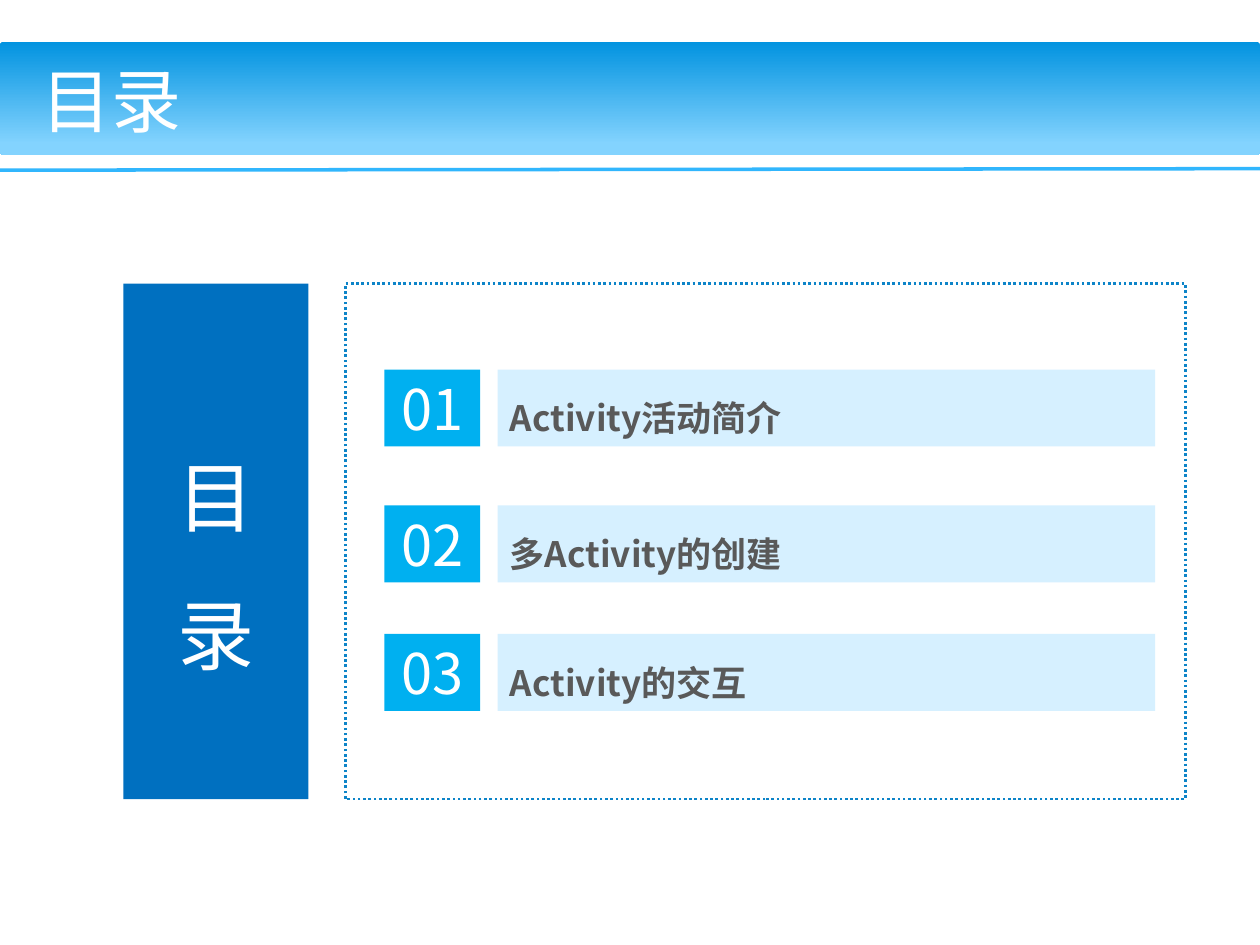
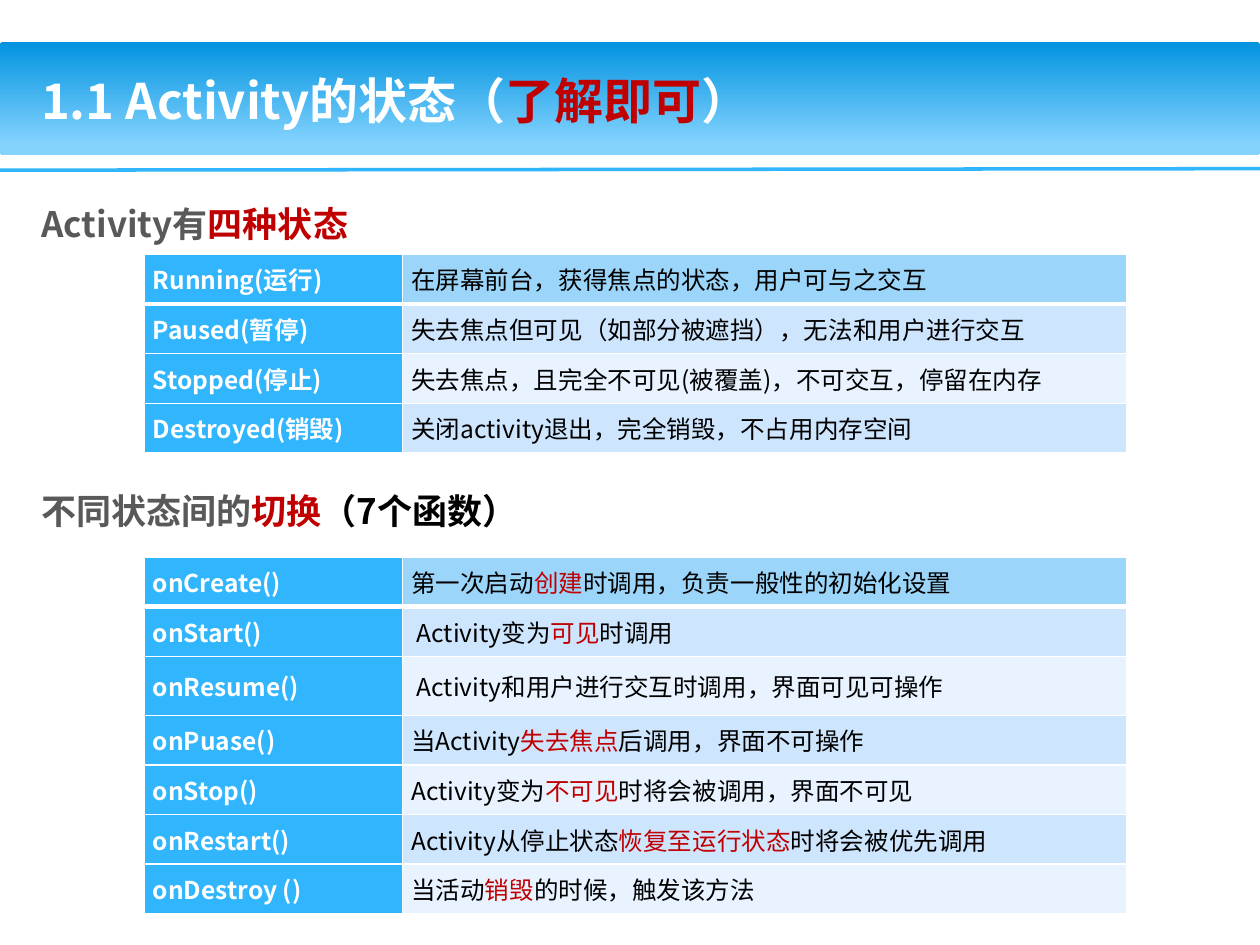
from itertools import cycle

from lxml import etree
from pptx import Presentation
from pptx.dml.color import RGBColor
from pptx.enum.dml import MSO_LINE
from pptx.enum.shapes import MSO_CONNECTOR, MSO_SHAPE
from pptx.enum.text import MSO_ANCHOR, PP_ALIGN
from pptx.oxml.ns import qn
from pptx.util import Cm, Pt

FONT = "Noto Sans CJK SC"
WHITE, BLACK, RED, GREY = "FFFFFF", "000000", "C00000", "595959"
SKY, CYAN, NAVY, PALE = "31B6FD", "00B0F0", "0070C0", "D6F0FF"
HEADER_ROW, ODD_ROW, EVEN_ROW = "9BD5FA", "CEE5FE", "E8F3FF"
SLIDE_WIDTH, SLIDE_HEIGHT = 25.4, 19.05

AGENDA = ["Activity活动简介", "多Activity的创建", "Activity的交互"]
AGENDA_TOPS = [1.73, 4.47, 7.06]

# In each description, every second piece is highlighted in red.
STATES = [
    ("Running(运行)", ["在屏幕前台，获得焦点的状态，用户可与之交互"]),
    ("Paused(暂停)", ["失去焦点但可见（如部分被遮挡），无法和用户进行交互"]),
    ("Stopped(停止)", ["失去焦点，且完全不可见(被覆盖)，不可交互，停留在内存"]),
    ("Destroyed(销毁)", ["关闭activity退出，完全销毁，不占用内存空间"]),
]
CALLBACKS = [
    ("onCreate()", ["第一次启动", "创建", "时调用，负责一般性的初始化设置"]),
    ("onStart()", [" Activity变为", "可见", "时调用"]),
    ("onResume()", [" Activity和用户进行交互时调用，界面可见可操作"]),
    ("onPuase()", ["当Activity", "失去焦点", "后调用，界面不可操作"]),
    ("onStop()", ["Activity变为", "不可见", "时将会被调用，界面不可见"]),
    ("onRestart()", ["Activity从停止状态", "恢复至运行状态", "时将会被优先调用"]),
    ("onDestroy ()", ["当活动", "销毁", "的时候，触发该方法"]),
]


def rgb(color):
    return RGBColor.from_string(color)


def write(paragraph, runs, size, bold=False, spacing=None, align=None):
    """Fill a paragraph with (text, colour) runs."""
    paragraph.alignment = align
    paragraph.line_spacing = spacing
    for text, color in runs:
        run = paragraph.add_run()
        run.text = text
        font = run.font
        font.name, font.size, font.bold = FONT, Pt(size), bold
        font.color.rgb = rgb(color)
        east_asian = etree.SubElement(font._element, qn("a:ea"))
        east_asian.set("typeface", FONT)


def add_block(slide, left, top, width, height, color=None, preset=MSO_SHAPE.RECTANGLE):
    block = slide.shapes.add_shape(preset, Cm(left), Cm(top), Cm(width), Cm(height))
    block.shadow.inherit = False
    block.line.fill.background()
    if color:
        block.fill.solid()
        block.fill.fore_color.rgb = rgb(color)
    else:
        block.fill.background()
    return block


def add_text(slide, left, top, width, height, runs, size, anchor=MSO_ANCHOR.TOP, **style):
    frame = slide.shapes.add_textbox(Cm(left), Cm(top), Cm(width), Cm(height)).text_frame
    frame.word_wrap = True
    frame.vertical_anchor = anchor
    write(frame.paragraphs[0], runs, size, **style)


def add_title_band(slide, title_runs, size, bold=False):
    top, height = 0.84, 2.29
    band = add_block(slide, 0, top, SLIDE_WIDTH, height, preset=MSO_SHAPE.ROUNDED_RECTANGLE)
    band.adjustments[0] = 0.034
    band.fill.gradient()
    band.fill.gradient_angle = 270
    for stop, position, color in zip(band.fill.gradient_stops, (0, 0.9), ("0293E0", "83D3FE")):
        stop.position = position
        stop.color.rgb = rgb(color)

    rule = slide.shapes.add_connector(
        MSO_CONNECTOR.STRAIGHT, 0, Cm(top + 2.59), Cm(SLIDE_WIDTH), Cm(top + 2.56))
    rule.line.color.rgb = rgb(SKY)
    rule.line.width = Pt(2)
    etree.SubElement(rule._element.spPr, qn("a:effectLst"))

    add_text(slide, 0.58, top + 0.07, 22.35, 2.21, title_runs, size,
             anchor=MSO_ANCHOR.MIDDLE, bold=bold)


def add_agenda_label(slide, left, top, width, height):
    frame = add_block(slide, left, top, width, height, NAVY).text_frame
    frame.vertical_anchor = MSO_ANCHOR.MIDDLE
    for index, character in enumerate("目录"):
        paragraph = frame.add_paragraph() if index else frame.paragraphs[0]
        write(paragraph, [(character, WHITE)], 44, spacing=1.5, align=PP_ALIGN.CENTER)


def add_agenda_item(slide, left, top, number, topic):
    height = 1.55
    bar = add_block(slide, left + 2.28, top, 13.26, height, PALE).text_frame
    bar.vertical_anchor = MSO_ANCHOR.TOP
    write(bar.paragraphs[0], [(topic, GREY)], 20, bold=True, spacing=1.5, align=PP_ALIGN.LEFT)

    badge = add_block(slide, left, top, 1.93, height, CYAN).text_frame
    badge.vertical_anchor = MSO_ANCHOR.MIDDLE
    badge.margin_left = badge.margin_right = Cm(0.18)
    badge.margin_top = badge.margin_bottom = Cm(0.1)
    write(badge.paragraphs[0], [(f"{number:02}", WHITE)], 32, align=PP_ALIGN.CENTER)


def add_agenda_panel(slide, left, top, width, height):
    panel = add_block(slide, left, top, width, height)
    panel.line.color.rgb = rgb("0D84C8")
    panel.line.width = Pt(1.5)
    panel.line.dash_style = MSO_LINE.ROUND_DOT
    for number, (offset, topic) in enumerate(zip(AGENDA_TOPS, AGENDA), 1):
        add_agenda_item(slide, left + 0.79, top + offset, number, topic)


def set_borders(cell, **widths):
    """Draw white borders; widths in points by side letter L, R, T, B."""
    properties = cell._tc.get_or_add_tcPr()
    for side, width in widths.items():
        border = etree.SubElement(properties, qn(f"a:ln{side}"), w=str(Pt(width)))
        fill = etree.SubElement(border, qn("a:solidFill"))
        etree.SubElement(fill, qn("a:srgbClr"), val=WHITE)


def fill_cell(cell, row, color, runs, bold):
    set_borders(cell, L=1, R=1, T=3 if row == 1 else 1, B=1 if row else 3)
    cell.fill.solid()
    cell.fill.fore_color.rgb = rgb(color)
    cell.vertical_anchor = MSO_ANCHOR.MIDDLE
    cell.margin_left = cell.margin_right = Cm(0.18)
    cell.margin_top = cell.margin_bottom = 0
    write(cell.text_frame.paragraphs[0], runs, 14, bold=bold)


def add_definitions(slide, left, top, entries, tall_rows=()):
    """Table of names and what each means, one entry a row."""
    widths = (5.21, 14.6)
    heights = [1.19 if row in tall_rows else 1.0 for row in range(len(entries))]
    table = slide.shapes.add_table(
        len(entries), 2, Cm(left), Cm(top), Cm(sum(widths)), Cm(sum(heights))).table
    for column, width in zip(table.columns, widths):
        column.width = Cm(width)
    for row, (name, pieces) in enumerate(entries):
        table.rows[row].height = Cm(heights[row])
        band = (ODD_ROW if row % 2 else EVEN_ROW) if row else HEADER_ROW
        fill_cell(table.cell(row, 0), row, SKY, [(name, WHITE)], bold=True)
        fill_cell(table.cell(row, 1), row, band, zip(pieces, cycle((BLACK, RED))), bold=False)


def add_heading(slide, left, top, runs):
    add_text(slide, left, top, 24, 1.6, runs, 20, bold=True, spacing=1.5)


def build_agenda(slide):
    add_title_band(slide, [("目录", WHITE)], 40)
    top, height = 5.72, 10.39
    add_agenda_panel(slide, 6.96, top, 16.94, height)
    add_agenda_label(slide, 2.49, top, 3.73, height)


def build_states(slide):
    add_title_band(
        slide, [("1.1 Activity的状态（", WHITE), ("了解即可", RED), ("）", WHITE)], 28, bold=True)
    heading_left, table_left = 0.58, 2.9
    add_heading(slide, heading_left, 3.53, [("Activity有", GREY), ("四种状态", RED)])
    add_definitions(slide, table_left, 5.13, STATES)
    add_heading(slide, heading_left, 9.32,
                [("不同状态间的", GREY), ("切换", RED), ("（7个函数）", BLACK)])
    add_definitions(slide, table_left, 11.23, CALLBACKS, tall_rows=(2,))


def main():
    deck = Presentation()
    deck.slide_width, deck.slide_height = Cm(SLIDE_WIDTH), Cm(SLIDE_HEIGHT)
    blank = deck.slide_layouts[6]
    for build in (build_agenda, build_states):
        build(deck.slides.add_slide(blank))
    deck.save("out.pptx")


if __name__ == "__main__":
    main()
